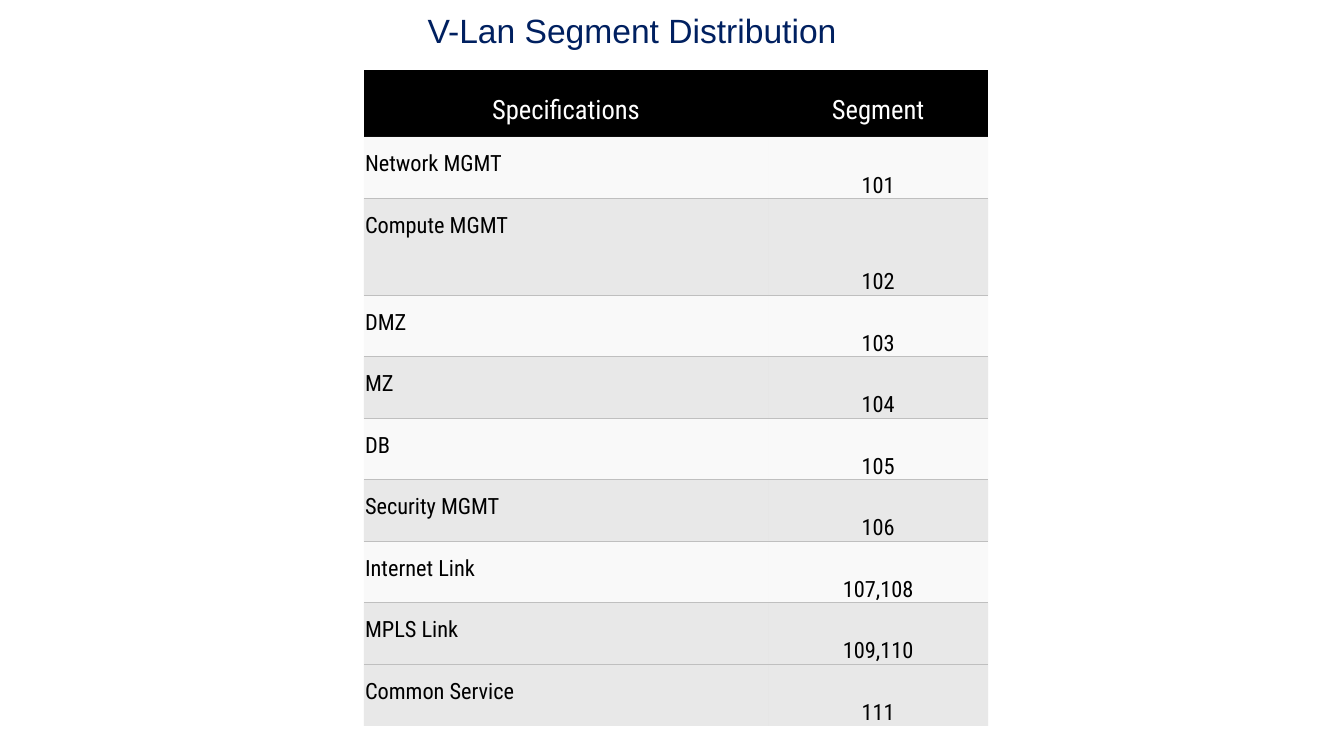
"""Build the V-Lan segment distribution slide."""
from dataclasses import dataclass

import pptx
import pptx.dml.color
import pptx.enum.text
import pptx.oxml
import pptx.oxml.ns
import pptx.util
from pptx.util import Cm

ALIGN = pptx.enum.text.PP_ALIGN
ANCHOR = pptx.enum.text.MSO_ANCHOR
PLAIN_STYLE = "{2D5ABB26-0587-4C30-8999-92F81FD0307C}"

HEADINGS = ("Specifications", "Segment")
SEGMENTS = (
    ("Network MGMT", "101"),
    ("Compute MGMT", "102"),
    ("DMZ", "103"),
    ("MZ", "104"),
    ("DB", "105"),
    ("Security MGMT", "106"),
    ("Internet Link", "107,108"),
    ("MPLS Link", "109,110"),
    ("Common Service", "111"),
)
COLUMN_WIDTHS = (Cm(10.19), Cm(5.54))
HEADER_HEIGHT, ROW_HEIGHT, TALL_HEIGHT = Cm(1.69), Cm(1.55), Cm(2.44)
TALL_ROW = 2
SHADED_ROWS = (2, 4, 6, 8, 9)


@dataclass(frozen=True)
class Theme:
    """Colours, fonts and type sizes of the slide."""
    title_font: str = "Arial"
    table_font: str = "Roboto Condensed"
    title_size: int = 24
    header_size: int = 19
    body_size: int = 16
    title: str = "002060"
    header_text: str = "FFFFFF"
    body_text: str = "000000"
    header_fill: tuple = ("000000", 100)
    light_fill: tuple = ("F2F2F2", 45)
    shaded_fill: tuple = ("BFBFBF", 35)
    rule: str = "BFBFBF"


THEME = Theme()


def apply_format(target, values):
    """Set each named attribute on the target."""
    for name, value in values.items():
        setattr(target, name, value)


def format_font(paragraph, name, size, colour):
    """Give a paragraph its font, size and colour."""
    apply_format(paragraph.font, {"name": name, "size": pptx.util.Pt(size), "bold": False})
    paragraph.font.color.rgb = pptx.dml.color.RGBColor.from_string(colour)


def add_title(slide, text):
    """Fill and place the title placeholder."""
    title = slide.shapes.title
    apply_format(title, {"left": Cm(10.52), "top": Cm(-1.55),
                         "width": Cm(16.94), "height": Cm(2.95)})
    apply_format(title.text_frame, {"text": text, "word_wrap": True,
                                    "vertical_anchor": ANCHOR.BOTTOM,
                                    "auto_size": pptx.enum.text.MSO_AUTO_SIZE.NONE})
    paragraph = title.text_frame.paragraphs[0]
    apply_format(paragraph, {"alignment": ALIGN.LEFT, "line_spacing": 0.9})
    format_font(paragraph, THEME.title_font, THEME.title_size, THEME.title)


def fill_cell(cell, fill):
    """Fill a cell with a colour at a given opacity in percent."""
    colour, opacity = fill
    cell.fill.solid()
    cell.fill.fore_color.rgb = pptx.dml.color.RGBColor.from_string(colour)
    if opacity < 100:
        colour_element = cell.fill._xPr.find(".//" + pptx.oxml.ns.qn("a:srgbClr"))
        colour_element.append(pptx.oxml.parse_xml(
            f'<a:alpha {pptx.oxml.ns.nsdecls("a")} val="{opacity * 1000}"/>'))


def add_rule(cell, side):
    """Draw a thin rule on the top (T) or bottom (B) of a cell."""
    cell._tc.get_or_add_tcPr().insert(0, pptx.oxml.parse_xml(
        f'<a:ln{side} {pptx.oxml.ns.nsdecls("a")} w="{pptx.util.Pt(1)}"><a:solidFill>'
        f'<a:srgbClr val="{THEME.rule}"/></a:solidFill></a:ln{side}>'))


def write_cell(cell, text, alignment, anchor, size, colour):
    """Write one formatted paragraph in a cell."""
    apply_format(cell, {"text": text, "vertical_anchor": anchor,
                        "margin_left": Cm(0.03), "margin_right": Cm(0.03),
                        "margin_top": Cm(0.36), "margin_bottom": 0})
    paragraph = cell.text_frame.paragraphs[0]
    paragraph.alignment = alignment
    format_font(paragraph, THEME.table_font, size, colour)


def add_segment_table(slide):
    """Add the table of network segments."""
    heights = [HEADER_HEIGHT] + [ROW_HEIGHT] * len(SEGMENTS)
    heights[TALL_ROW] = TALL_HEIGHT
    frame = slide.shapes.add_table(len(heights), len(COLUMN_WIDTHS), Cm(9.17), Cm(1.76),
                                   sum(COLUMN_WIDTHS), sum(heights))
    table = frame.table
    table._tbl.tblPr.find(pptx.oxml.ns.qn("a:tableStyleId")).text = PLAIN_STYLE
    for column, width in zip(table.columns, COLUMN_WIDTHS):
        column.width = width
    for row, height in zip(table.rows, heights):
        row.height = height
    for cell, heading in zip(table.rows[0].cells, HEADINGS):
        write_cell(cell, heading, ALIGN.CENTER, ANCHOR.MIDDLE,
                   THEME.header_size, THEME.header_text)
        fill_cell(cell, THEME.header_fill)
    layouts = ((ALIGN.LEFT, ANCHOR.TOP), (ALIGN.CENTER, ANCHOR.BOTTOM))
    for index, segment in enumerate(SEGMENTS, start=1):
        shaded = index in SHADED_ROWS
        for cell, text, layout in zip(table.rows[index].cells, segment, layouts):
            write_cell(cell, text, *layout, THEME.body_size, THEME.body_text)
            fill_cell(cell, THEME.shaded_fill if shaded else THEME.light_fill)
            if index + 1 in SHADED_ROWS:
                add_rule(cell, "B")
            if shaded:
                add_rule(cell, "T")


def main():
    """Build and save the presentation."""
    presentation = pptx.Presentation()
    apply_format(presentation, {"slide_width": Cm(33.87), "slide_height": Cm(19.05)})
    slide = presentation.slides.add_slide(presentation.slide_layouts[5])
    add_title(slide, "V-Lan Segment Distribution")
    add_segment_table(slide)
    presentation.save("out.pptx")


if __name__ == "__main__":
    main()
